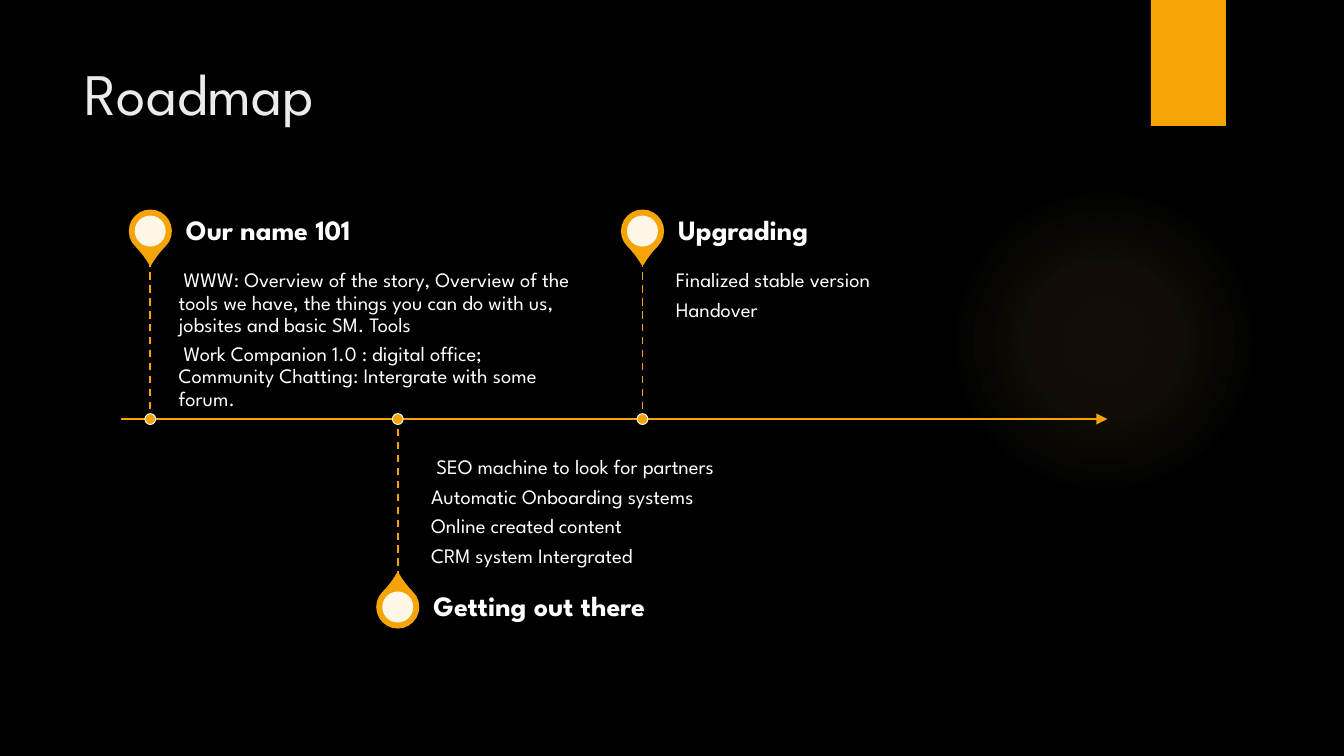
from pptx import Presentation
from pptx.dml.color import RGBColor
from pptx.enum.dml import MSO_LINE
from pptx.enum.shapes import MSO_CONNECTOR, MSO_SHAPE
from pptx.enum.text import MSO_ANCHOR
from pptx.oxml import parse_xml
from pptx.oxml.ns import nsdecls, qn
from pptx.util import Pt

COLOURS = {
    "background": "000000", "amber": "F5A408", "glow": "FAC96A",
    "title": "EBEBEB", "white": "FFFFFF",
}
FONT = "League Spartan"
AXIS_Y = 224.5
STEM = 85.6
HEADING_HEIGHT = 30.2
TEXT_GAP = 15.2
MILESTONES = [
    (80.5, True, 220, " Our name 101", [
        " WWW: Overview of the story, Overview of the tools we have, "
        "the things you can do with us, jobsites and basic SM. Tools",
        " Work Companion 1.0 : digital office; Community Chatting: "
        "Intergrate with some forum."]),
    (213.1, False, 219, " Getting out there", [
        "  SEO machine to look for partners", " Automatic Onboarding systems",
        " Online created content", " CRM system Intergrated"]),
    (344.2, True, 219, " Upgrading", [" Finalized stable version", " Handover"]),
]


def rgb(name):
    """Return the named palette colour."""
    return RGBColor.from_string(COLOURS[name])


def add_figure(slide, preset, left, top, width, height, fill, outline=None, weight=1):
    """Add a filled preset shape, outlined when an outline colour is named."""
    figure = slide.shapes.add_shape(preset, Pt(left), Pt(top), Pt(width), Pt(height))
    figure.shadow.inherit = False
    figure.fill.solid()
    figure.fill.fore_color.rgb = rgb(fill)
    if outline:
        figure.line.color.rgb = rgb(outline)
        figure.line.width = Pt(weight)
    else:
        figure.line.fill.background()
    return figure


def add_disc(slide, x, y, diameter, fill, outline=None, weight=1):
    """Add a circle around a centre point."""
    return add_figure(slide, MSO_SHAPE.OVAL, x - diameter / 2, y - diameter / 2,
                      diameter, diameter, fill, outline, weight)


def add_glow(slide):
    """Add the faint round glow that fades towards its rim."""
    glow = add_disc(slide, 591.5, 182.5, 166.4, "glow")
    stops = "".join(
        f'<a:gs pos="{position}000"><a:srgbClr val="{COLOURS["glow"]}">'
        f'<a:alpha val="{alpha}000"/></a:srgbClr></a:gs>'
        for position, alpha in ((0, 7), (36, 6), (69, 0), (100, 0)))
    gradient = parse_xml(
        f'<a:gradFill {nsdecls("a")}><a:gsLst>{stops}</a:gsLst><a:path path="circle">'
        '<a:fillToRect l="50000" t="50000" r="50000" b="50000"/></a:path></a:gradFill>')
    properties = glow._element.spPr
    properties.replace(properties.find(qn("a:solidFill")), gradient)


def add_rule(slide, x1, y1, x2, y2, weight):
    """Add a straight amber line without a shadow."""
    rule = slide.shapes.add_connector(MSO_CONNECTOR.STRAIGHT, Pt(x1), Pt(y1), Pt(x2), Pt(y2))
    rule.line.color.rgb = rgb("amber")
    rule.line.width = Pt(weight)
    rule._element.spPr.append(parse_xml(f'<a:effectLst {nsdecls("a")}/>'))
    return rule


def add_axis(slide):
    """Add the time axis with its arrowhead."""
    axis = add_rule(slide, 64.8, AXIS_Y, 593.3, AXIS_Y, 1.5)
    axis.line._get_or_add_ln().append(
        parse_xml(f'<a:tailEnd {nsdecls("a")} type="triangle"/>'))


def add_text(slide, box, paragraphs, size, colour="white", bold=False,
             anchor=MSO_ANCHOR.TOP, insets=(0, 0, 0, 0), line=0.9, after=0):
    """Add a wrapped text box with one run per paragraph."""
    frame = slide.shapes.add_textbox(*map(Pt, box)).text_frame
    frame.word_wrap = True
    frame.vertical_anchor = anchor
    frame.margin_left, frame.margin_top, frame.margin_right, frame.margin_bottom = map(Pt, insets)
    for index, wording in enumerate(paragraphs):
        paragraph = frame.paragraphs[0] if index == 0 else frame.add_paragraph()
        paragraph.line_spacing = line
        paragraph.space_after = Pt(after)
        run = paragraph.add_run()
        run.text = wording
        run.font.name = FONT
        run.font.size = Pt(size)
        run.font.bold = bold
        run.font.color.rgb = rgb(colour)


def add_pin(slide, x, y, rotation):
    """Add a map pin whose tip points towards the axis."""
    pin = add_figure(slide, MSO_SHAPE.TEAR, x - 10.8, y - 10.8, 21.6, 21.6,
                     "amber", "amber", 1.5)
    pin.adjustments[0] = 1.15
    pin.rotation = rotation
    eye = add_disc(slide, x, y, 16.6, "white")
    eye._element.spPr.find(qn("a:solidFill"))[0].append(
        parse_xml(f'<a:alpha {nsdecls("a")} val="90000"/>'))


def add_milestone(slide, x, above, width, heading, details):
    """Add one milestone with pin, texts, dashed stem and axis dot."""
    stem_end = AXIS_Y - STEM if above else AXIS_Y + STEM
    heading_top = stem_end - HEADING_HEIGHT if above else stem_end
    add_pin(slide, x, heading_top + HEADING_HEIGHT / 2, 135 if above else 315)
    add_text(slide, (x + TEXT_GAP, min(stem_end, AXIS_Y), width, STEM), details, 11,
             anchor=MSO_ANCHOR.TOP if above else MSO_ANCHOR.BOTTOM,
             insets=(0, 5.8, 5.8, 7.9) if above else (0, 7.9, 0, 5.8), after=4)
    add_text(slide, (x + TEXT_GAP, heading_top, width, HEADING_HEIGHT), [heading], 15,
             bold=True, anchor=MSO_ANCHOR.MIDDLE, insets=(0, 0, 7.2, 0))
    stem = add_rule(slide, x, stem_end, x, AXIS_Y, 1)
    stem.line.dash_style = MSO_LINE.DASH
    add_disc(slide, x, AXIS_Y, 5.8, "amber", "white", 0.5)


def main():
    """Build the roadmap slide and save it."""
    deck = Presentation()
    deck.slide_width, deck.slide_height = Pt(720), Pt(405)
    slide = deck.slides.add_slide(deck.slide_layouts[6])
    slide.background.fill.solid()
    slide.background.fill.fore_color.rgb = rgb("background")
    add_glow(slide)
    add_figure(slide, MSO_SHAPE.RECTANGLE, 616.5, 0, 40.3, 67.5, "amber")
    add_text(slide, (38.2, 26.6, 555, 82.8), ["Roadmap"], 31.5, "title",
             insets=(7.2, 3.6, 7.2, 3.6), line=1)
    add_axis(slide)
    for milestone in MILESTONES:
        add_milestone(slide, *milestone)
    deck.save("out.pptx")


if __name__ == "__main__":
    main()
